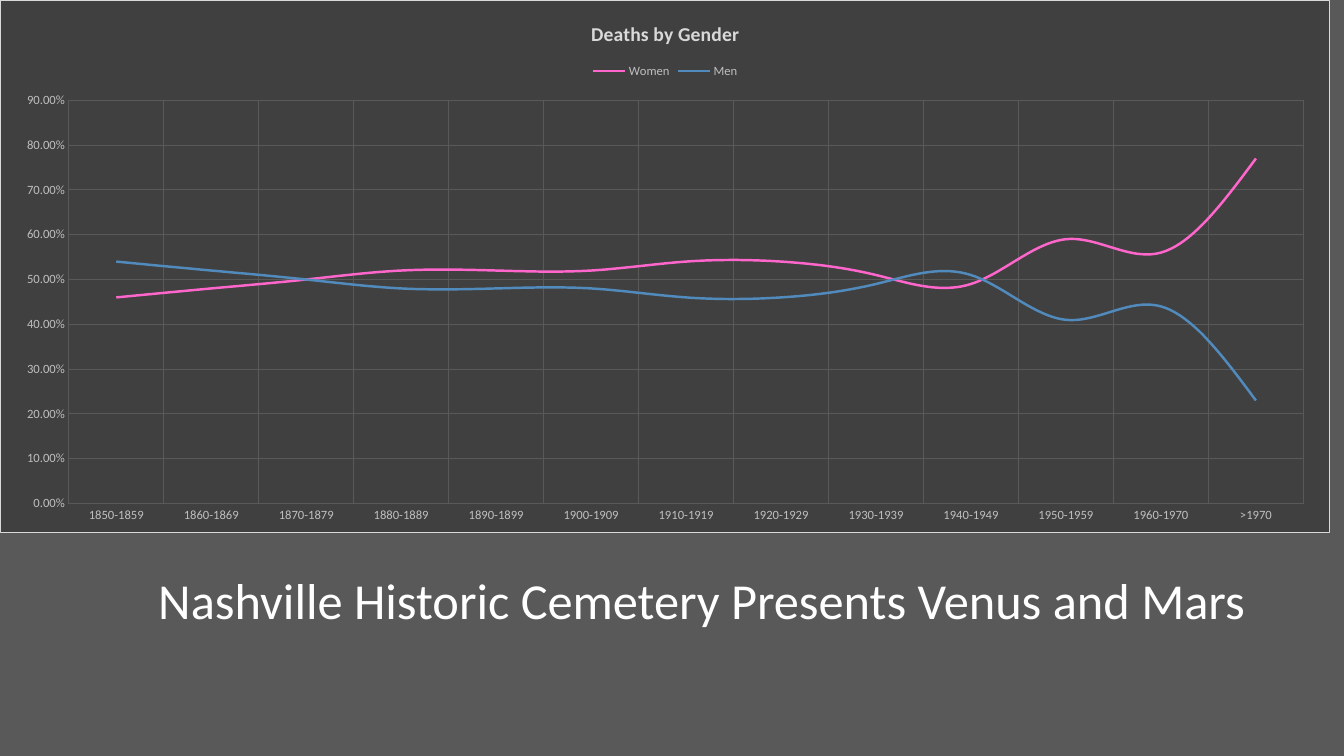
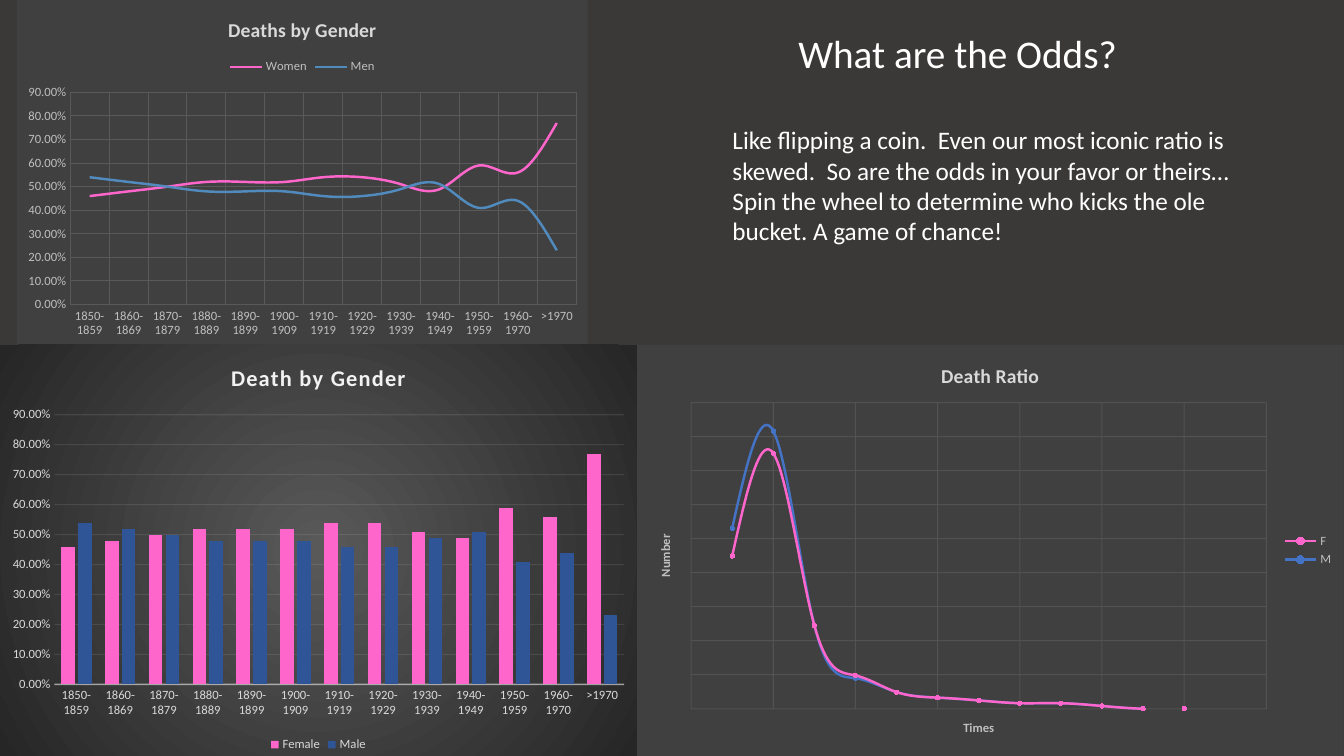
from pptx import Presentation
from pptx.chart.data import CategoryChartData, XyChartData
from pptx.dml.color import RGBColor
from pptx.enum.chart import XL_CHART_TYPE, XL_LEGEND_POSITION, XL_MARKER_STYLE, XL_TICK_MARK
from pptx.enum.text import MSO_ANCHOR, MSO_AUTO_SIZE, PP_ALIGN
from pptx.oxml import parse_xml
from pptx.oxml.ns import nsdecls
from pptx.util import Cm, Pt

FONT = "Calibri"
WHITE, SILVER, PALE, NEAR_WHITE = "FFFFFF", "BFBFBF", "D9D9D9", "F2F2F2"
PANEL, GRID, PINK = "404040", "595959", "FF66CC"
TITLE_ONLY = 5
DECADES = [f"{year}-{year + 9}" for year in range(1850, 1960, 10)] + ["1960-1970", ">1970"]
WOMEN = [0.46, 0.48, 0.5, 0.52, 0.52, 0.52, 0.54, 0.54, 0.51, 0.49, 0.59, 0.56, 0.77]
MEN = [0.54, 0.52, 0.5, 0.48, 0.48, 0.48, 0.46, 0.46, 0.49, 0.51, 0.41, 0.44, 0.23]
FEMALE_DEATHS = [55, 92, 30, 12, 6, 4, 3, 2, 2, 1, 0, 0]
MALE_DEATHS = [65, 100, 30, 11, 6, 4, 3, 2, 2, 1, 0, 0]

SOLID_PANEL = f'<a:solidFill><a:srgbClr val="{PANEL}"/></a:solidFill>'
NO_BORDER = "<a:ln><a:noFill/></a:ln>"
PALE_BORDER = f'<a:ln w="9525"><a:solidFill><a:srgbClr val="{PALE}"/></a:solidFill></a:ln>'
RADIAL_PANEL = (
    '<a:gradFill><a:gsLst><a:gs pos="0"><a:srgbClr val="595959"/></a:gs>'
    '<a:gs pos="100000"><a:srgbClr val="262626"/></a:gs></a:gsLst>'
    '<a:path path="circle"><a:fillToRect l="50000" t="50000" r="50000" b="50000"/>'
    "</a:path></a:gradFill>"
)


def rgb(value):
    return RGBColor.from_string(value)


def apply(target, values):
    for name, value in values.items():
        setattr(target, name, value)


def style_font(font, size, color, bold=False):
    apply(font, {"name": FONT, "size": Pt(size), "bold": bold})
    font.color.rgb = rgb(color)


def style_line(line_format, color, width, opacity=100):
    line = line_format.line
    line.color.rgb = rgb(color)
    line.width = Pt(width)
    if opacity < 100:
        for node in line_format._element.xpath("c:spPr/a:ln//a:srgbClr"):
            node.append(parse_xml(f'<a:alpha {nsdecls("a")} val="{opacity * 1000}"/>'))


def add_slide(deck, background):
    slide = deck.slides.add_slide(deck.slide_layouts[TITLE_ONLY])
    slide.background.fill.solid()
    slide.background.fill.fore_color.rgb = rgb(background)
    return slide


def write(shape, text, size, align):
    frame = shape.text_frame
    apply(frame, {"word_wrap": True, "auto_size": MSO_AUTO_SIZE.NONE,
                  "vertical_anchor": MSO_ANCHOR.TOP, "text": text})
    frame.paragraphs[0].alignment = align
    style_font(frame.paragraphs[0].runs[0].font, size, WHITE)


def set_title(slide, text, size, box):
    title = slide.shapes.title
    apply(title, dict(zip(("left", "top", "width", "height"), map(Cm, box))))
    write(title, text, size, PP_ALIGN.CENTER)


def add_body(slide, text, size, box):
    write(slide.shapes.add_textbox(*map(Cm, box)), text, size, PP_ALIGN.LEFT)


def write_heading(frame, text, size, color, spacing=0):
    frame.text = text
    run = frame.paragraphs[0].runs[0]
    style_font(run.font, size, color, bold=True)
    run._r.get_or_add_rPr().set("spc", str(spacing))


def add_chart(slide, kind, data, box, panel, legend, color):
    chart = slide.shapes.add_chart(kind, *map(Cm, box), data).chart
    style_font(chart.font, 10, color)
    root = chart._chartSpace
    if not root.xpath("c:roundedCorners"):
        root.chart.addprevious(parse_xml(f'<c:roundedCorners {nsdecls("c")} val="0"/>'))
    root.chart.addnext(parse_xml(f'<c:spPr {nsdecls("c", "a")}>{panel}</c:spPr>'))
    chart.has_legend = True
    apply(chart.legend, {"position": legend, "include_in_layout": False})
    style_font(chart.legend.font, 9, color)
    chart.plots[0].vary_by_categories = False
    return chart


def style_curves(chart, colors):
    for series, color in zip(chart.plots[0].series, colors):
        style_line(series.format, color, 1.75)
        for node in series._element.xpath("c:smooth"):
            node.set("val", "1")


def style_axes(chart, color):
    for axis in (chart.category_axis, chart.value_axis):
        apply(axis, {"major_tick_mark": XL_TICK_MARK.NONE, "minor_tick_mark": XL_TICK_MARK.NONE})
        style_font(axis.tick_labels.font, 9, color)
        axis.format.line.fill.background()
    apply(chart.value_axis, {"minimum_scale": 0, "maximum_scale": 0.9, "major_unit": 0.1})
    apply(chart.value_axis.tick_labels,
          {"number_format": "0.00%", "number_format_is_linked": False})


def show_grid(axis, color, opacity=100):
    axis.has_major_gridlines = True
    style_line(axis.major_gridlines.format, color, 0.75, opacity)


def gender_shares(women, men):
    data = CategoryChartData(number_format="0%")
    data.categories = DECADES
    data.add_series(women, WOMEN)
    data.add_series(men, MEN)
    return data


def add_share_curves(slide, box, border):
    chart = add_chart(slide, XL_CHART_TYPE.LINE, gender_shares("Women", "Men"), box,
                      SOLID_PANEL + border, XL_LEGEND_POSITION.TOP, SILVER)
    write_heading(chart.chart_title.text_frame, "Deaths by Gender", 14, PALE)
    style_curves(chart, (PINK, "518ABD"))
    style_axes(chart, SILVER)
    for axis in (chart.category_axis, chart.value_axis):
        show_grid(axis, GRID)


def add_share_columns(slide, box):
    chart = add_chart(slide, XL_CHART_TYPE.COLUMN_CLUSTERED, gender_shares("Female", "Male"),
                      box, RADIAL_PANEL + NO_BORDER, XL_LEGEND_POSITION.BOTTOM, PALE)
    write_heading(chart.chart_title.text_frame, "Death by Gender", 16, NEAR_WHITE, 100)
    apply(chart.plots[0], {"gap_width": 100, "overlap": -24})
    for series, color in zip(chart.plots[0].series, (PINK, "2F5597")):
        series.format.fill.solid()
        series.format.fill.fore_color.rgb = rgb(color)
    style_axes(chart, PALE)
    style_line(chart.category_axis.format, NEAR_WHITE, 1, 54)
    show_grid(chart.value_axis, NEAR_WHITE, 10)


def add_ratio_curves(slide, box):
    data = XyChartData()
    for sex, deaths in (("F", FEMALE_DEATHS), ("M", MALE_DEATHS)):
        points = data.add_series(sex)
        for time, number in enumerate(deaths, 1):
            points.add_data_point(time, number)
    chart = add_chart(slide, XL_CHART_TYPE.XY_SCATTER_SMOOTH, data, box,
                      SOLID_PANEL + NO_BORDER, XL_LEGEND_POSITION.RIGHT, SILVER)
    write_heading(chart.chart_title.text_frame, "Death Ratio", 14, PALE)
    colors = (PINK, "4472C4")
    style_curves(chart, colors)
    for series, color in zip(chart.plots[0].series, colors):
        apply(series.marker, {"style": XL_MARKER_STYLE.CIRCLE, "size": 3})
        series.marker.format.fill.solid()
        series.marker.format.fill.fore_color.rgb = rgb(color)
        series.marker.format.line.color.rgb = rgb(color)
    scales = ((chart.category_axis, "Times", 14, 2, 0),
              (chart.value_axis, "Number", 110.25, 12.25, -5400000))
    for axis, name, top, step, turn in scales:
        apply(axis, {"visible": False, "minimum_scale": 0,
                     "maximum_scale": top, "major_unit": step})
        show_grid(axis, GRID, 75)
        frame = axis.axis_title.text_frame
        write_heading(frame, name, 9, SILVER)
        frame._txBody.bodyPr.set("rot", str(turn))


def main():
    deck = Presentation()
    apply(deck, {"slide_width": Cm(33.87), "slide_height": Cm(19.05)})

    cemetery = add_slide(deck, "595959")
    add_share_curves(cemetery, (0, 0, 33.53, 13.44), PALE_BORDER)
    set_title(cemetery, "Nashville Historic Cemetery Presents Venus and Mars", 36,
              (2.26, 14.22, 30.86, 1.8))

    odds = add_slide(deck, "3B3838")
    add_ratio_curves(odds, (16.05, 8.69, 17.81, 10.36))
    add_share_curves(odds, (0.43, 0, 14.38, 8.69), NO_BORDER)
    add_share_columns(odds, (0, 8.69, 16.05, 10.36))
    set_title(odds, "What are the Odds?", 28, (16.8, 0.61, 14.66, 1.45))
    add_body(odds, "Like flipping a coin.  Even our most iconic ratio is skewed.  "
             "So are the odds in your favor or theirs…Spin the wheel to determine "
             "who kicks the ole bucket. A game of chance!", 18, (18.21, 3.02, 13.39, 3.5))

    deck.save("out.pptx")


main()
